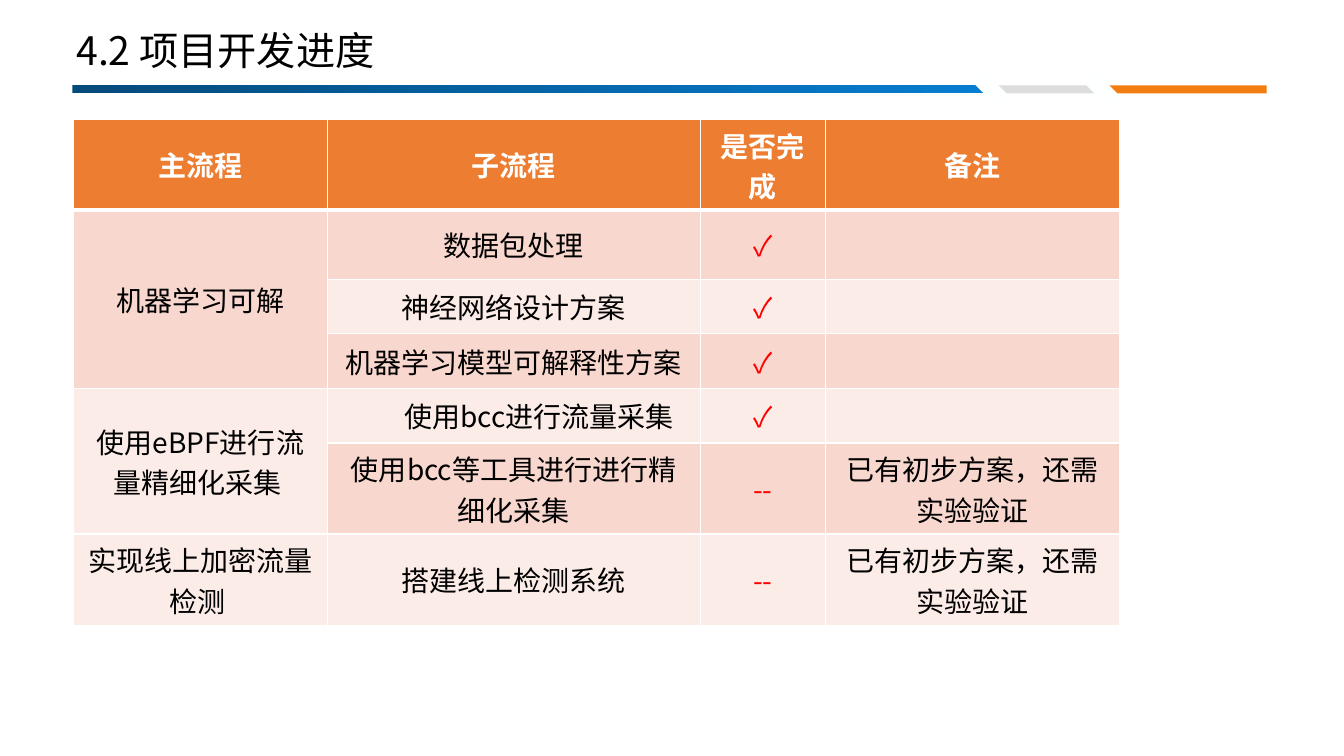
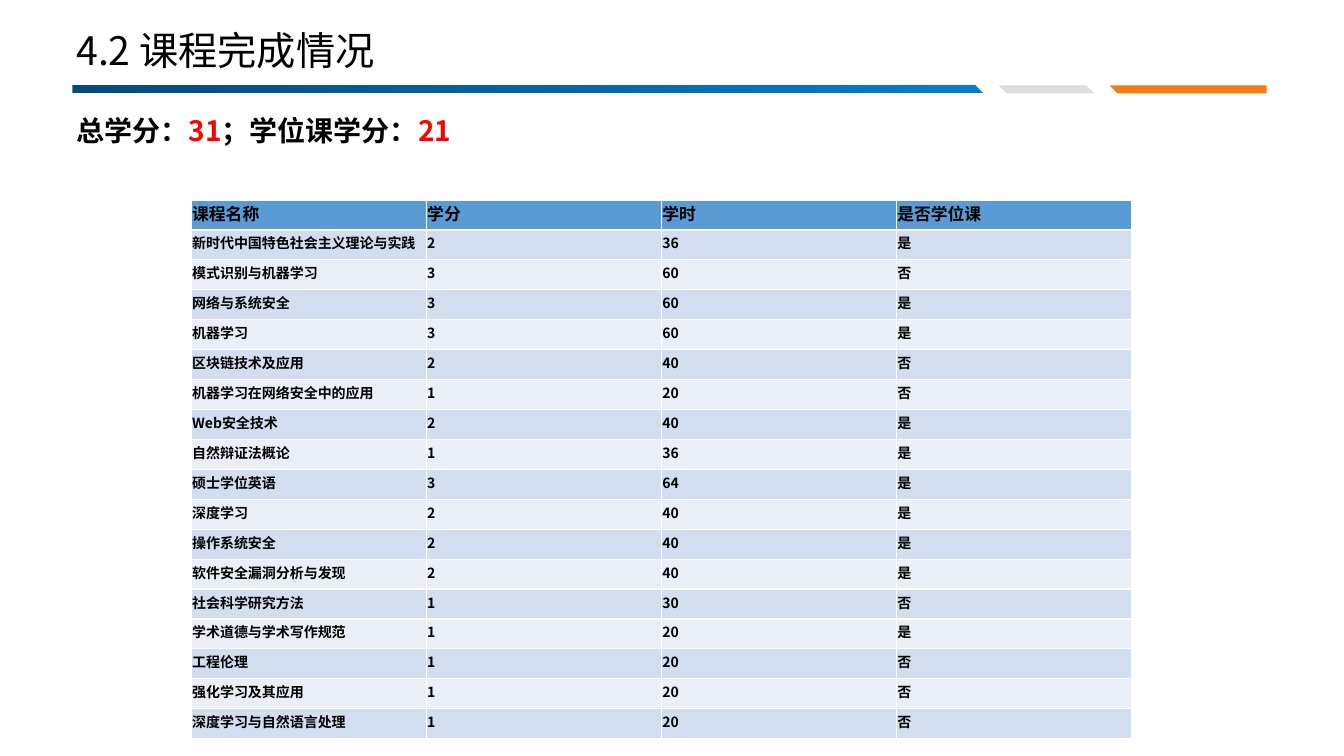
from dataclasses import dataclass, field
from typing import NamedTuple

from lxml.etree import SubElement
from pptx import Presentation
from pptx.dml.color import RGBColor as Rgb
from pptx.enum.shapes import MSO_SHAPE as Kind
from pptx.enum.text import MSO_ANCHOR as Anchor, PP_ALIGN as Align
from pptx.oxml.ns import qn
from pptx.util import Pt

FONT = "Noto Sans CJK SC"
HUES = {
    "ink": "000000", "white": "FFFFFF", "red": "FF0000", "snow": "FEFFFF",
    "navy": "044A7B", "blue": "077DD0", "grey": "DDDDDD", "amber": "F37D11",
    "rust": "ED7D31", "rose": "F8D7CE", "blush": "FCECE8",
    "sky": "5B9BD5", "mist": "D2DEEF", "pale": "EAEFF7",
}
LEFT = 47.5


class Band(NamedTuple):
    left: float
    top: float
    width: float
    height: float
    hue: str
    fade: str = ""
    turn: float = 0


class Span(NamedTuple):
    col: int
    top: int
    low: int


class Run(NamedTuple):
    text: str
    hue: str = "ink"


@dataclass
class Grid:
    left: float
    top: float
    cols: list[float]
    rows: list[float]
    cells: list[tuple[str, ...]]
    head: str
    stripes: tuple[str, str]
    head_ink: str
    head_size: float
    size: float
    bold: bool
    align: Align
    rule: float
    head_anchor: Anchor = Anchor.MIDDLE
    edges: dict[str, float] = field(default_factory=dict)
    spans: list[Span] = field(default_factory=list)
    indents: dict[tuple[int, int], float] = field(default_factory=dict)


BANDS = [
    Band(51.8, 61, 652.3, 5.8, "navy", fade="blue"),
    Band(712.1, 61, 70.6, 5.8, "grey"),
    Band(791.3, 61, 113.4, 5.8, "amber"),
    Band(702, 49, 11.5, 29.5, "snow", turn=135),
    Band(782.6, 50.4, 11.5, 29.5, "snow", turn=135),
]
MARKS = ("✓", "--")

STEPS = Grid(
    left=52.4, top=85.3,
    cols=[181.4, 266.4, 89.3, 210.2],
    rows=[64.6, 49.6, 39, 39, 39, 65.1, 65.1],
    cells=[
        ("主流程", "子流程", "是否完成", "备注"),
        ("机器学习可解", "数据包处理", "✓", ""),
        ("", "神经网络设计方案", "✓", ""),
        ("", "机器学习模型可解释性方案", "✓", ""),
        ("使用eBPF进行流量精细化采集 ", "使用bcc进行流量采集", "✓", ""),
        ("", "使用bcc等工具进行进行精细化采集", "--", "已有初步方案，还需实验验证"),
        ("实现线上加密流量检测 ", "搭建线上检测系统", "--", "已有初步方案，还需实验验证"),
    ],
    head="rust", stripes=("blush", "rose"), head_ink="white",
    head_size=20, size=20, bold=False, align=Align.CENTER, rule=3,
    spans=[Span(0, 1, 3), Span(0, 4, 5)],
    indents={(4, 1): 36},
)

COURSES = [
    ("课程名称", "学分", "学时", "是否学位课"),
    ("新时代中国特色社会主义理论与实践", "2", "36", "是"),
    ("模式识别与机器学习", "3", "60", "否"),
    ("网络与系统安全", "3", "60", "是"),
    ("机器学习", "3", "60", "是"),
    ("区块链技术及应用", "2", "40", "否"),
    ("机器学习在网络安全中的应用", "1", "20", "否"),
    ("Web安全技术", "2", "40", "是"),
    ("自然辩证法概论", "1", "36", "是"),
    ("硕士学位英语", "3", "64", "是"),
    ("深度学习", "2", "40", "是"),
    ("操作系统安全", "2", "40", "是"),
    ("软件安全漏洞分析与发现", "2", "40", "是"),
    ("社会科学研究方法", "1", "30", "否"),
    ("学术道德与学术写作规范", "1", "20", "是"),
    ("工程伦理", "1", "20", "否"),
    ("强化学习及其应用", "1", "20", "否"),
    ("深度学习与自然语言处理", "1", "20", "否"),
]
CREDITS = Grid(
    left=136.8, top=142.9,
    cols=[167.9] * 4, rows=[21.4] * len(COURSES), cells=COURSES,
    head="sky", stripes=("pale", "mist"), head_ink="ink",
    head_size=12, size=10, bold=True, align=Align.LEFT, rule=2,
    head_anchor=Anchor.BOTTOM,
    edges={"margin_left": 0.5, "margin_top": 0.7,
           "margin_right": 0.5, "margin_bottom": 3.6},
)


def tint(name: str) -> Rgb:
    return Rgb.from_string(HUES[name])


def apply(item, values: dict) -> None:
    for name, value in values.items():
        setattr(item, name, value)


def add_run(para, text: str, hue: str, size: float, bold: bool) -> None:
    run = para.add_run()
    run.text = text
    apply(run.font, {"name": FONT, "size": Pt(size), "bold": bold})
    run.font.color.rgb = tint(hue)
    SubElement(run.font._element, qn("a:ea"), typeface=FONT)


def add_text(slide, top: float, width: float, height: float,
             runs: list[Run], size: float, bold: bool, anchor: Anchor):
    box = slide.shapes.add_textbox(Pt(LEFT), Pt(top), Pt(width), Pt(height))
    apply(box.text_frame, {"word_wrap": True, "vertical_anchor": anchor})
    para = box.text_frame.paragraphs[0]
    for run in runs:
        add_run(para, run.text, run.hue, size, bold)
    return para


def add_band(slide, band: Band) -> None:
    shape = slide.shapes.add_shape(
        Kind.RECTANGLE, Pt(band.left), Pt(band.top),
        Pt(band.width), Pt(band.height))
    shape.rotation = band.turn
    shape.shadow.inherit = False
    shape.line.fill.background()
    if band.fade:
        shape.fill.gradient()
        shape.fill.gradient_angle = 0
        for stop, hue in zip(shape.fill.gradient_stops, (band.hue, band.fade)):
            stop.color.rgb = tint(hue)
    else:
        shape.fill.solid()
        shape.fill.fore_color.rgb = tint(band.hue)


def add_edges(cell, row: int, rule: float) -> None:
    props = cell._tc.get_or_add_tcPr()
    widths = {"lnL": 1, "lnR": 1, "lnT": rule if row == 1 else 1,
              "lnB": rule if row == 0 else 1}
    for tag, width in widths.items():
        line = SubElement(props, qn(f"a:{tag}"), w=str(Pt(width)))
        fill = SubElement(line, qn("a:solidFill"))
        SubElement(fill, qn("a:srgbClr"), val=HUES["white"])


def fill_cell(cell, grid: Grid, row: int, col: int) -> None:
    head = row == 0
    text = grid.cells[row][col]
    add_edges(cell, row, grid.rule)
    cell.fill.solid()
    cell.fill.fore_color.rgb = tint(grid.head if head else grid.stripes[row % 2])
    cell.vertical_anchor = grid.head_anchor if head else Anchor.MIDDLE
    apply(cell, {name: Pt(size) for name, size in grid.edges.items()})
    para = cell.text_frame.paragraphs[0]
    para.alignment = grid.align
    if (row, col) in grid.indents:
        para.level = 1
        para._p.get_or_add_pPr().set("marL", str(Pt(grid.indents[row, col])))
    if text:
        hue = grid.head_ink if head else "red" if text in MARKS else "ink"
        size = grid.head_size if head else grid.size
        add_run(para, text, hue, size, head or grid.bold)


def add_grid(slide, grid: Grid) -> None:
    frame = slide.shapes.add_table(
        len(grid.rows), len(grid.cols), Pt(grid.left), Pt(grid.top),
        Pt(sum(grid.cols)), Pt(sum(grid.rows)))
    table = frame.table
    table.horz_banding = False
    for col, width in zip(table.columns, grid.cols):
        col.width = Pt(width)
    for row, height in zip(table.rows, grid.rows):
        row.height = Pt(height)
    for row in range(len(grid.rows)):
        for col in range(len(grid.cols)):
            fill_cell(table.cell(row, col), grid, row, col)
    for span in grid.spans:
        table.cell(span.top, span.col).merge(table.cell(span.low, span.col))


def add_page(deck, title: str):
    slide = deck.slides.add_slide(deck.slide_layouts[6])
    for band in BANDS:
        add_band(slide, band)
    para = add_text(slide, 14.4, 350.6, 46, [Run(title)], 28, False, Anchor.MIDDLE)
    apply(para, {"line_spacing": 0.9, "space_before": Pt(10)})
    return slide


def main() -> None:
    deck = Presentation()
    apply(deck, {"slide_width": Pt(960), "slide_height": Pt(540)})
    add_grid(add_page(deck, "4.2 项目开发进度"), STEPS)
    slide = add_page(deck, "4.2 课程完成情况")
    add_grid(slide, CREDITS)
    total = [Run("总学分："), Run("31", "red"),
             Run("；学位课学分："), Run("21", "red")]
    add_text(slide, 77.8, 319.7, 31.7, total, 20, True, Anchor.TOP)
    deck.save("out.pptx")


if __name__ == "__main__":
    main()
